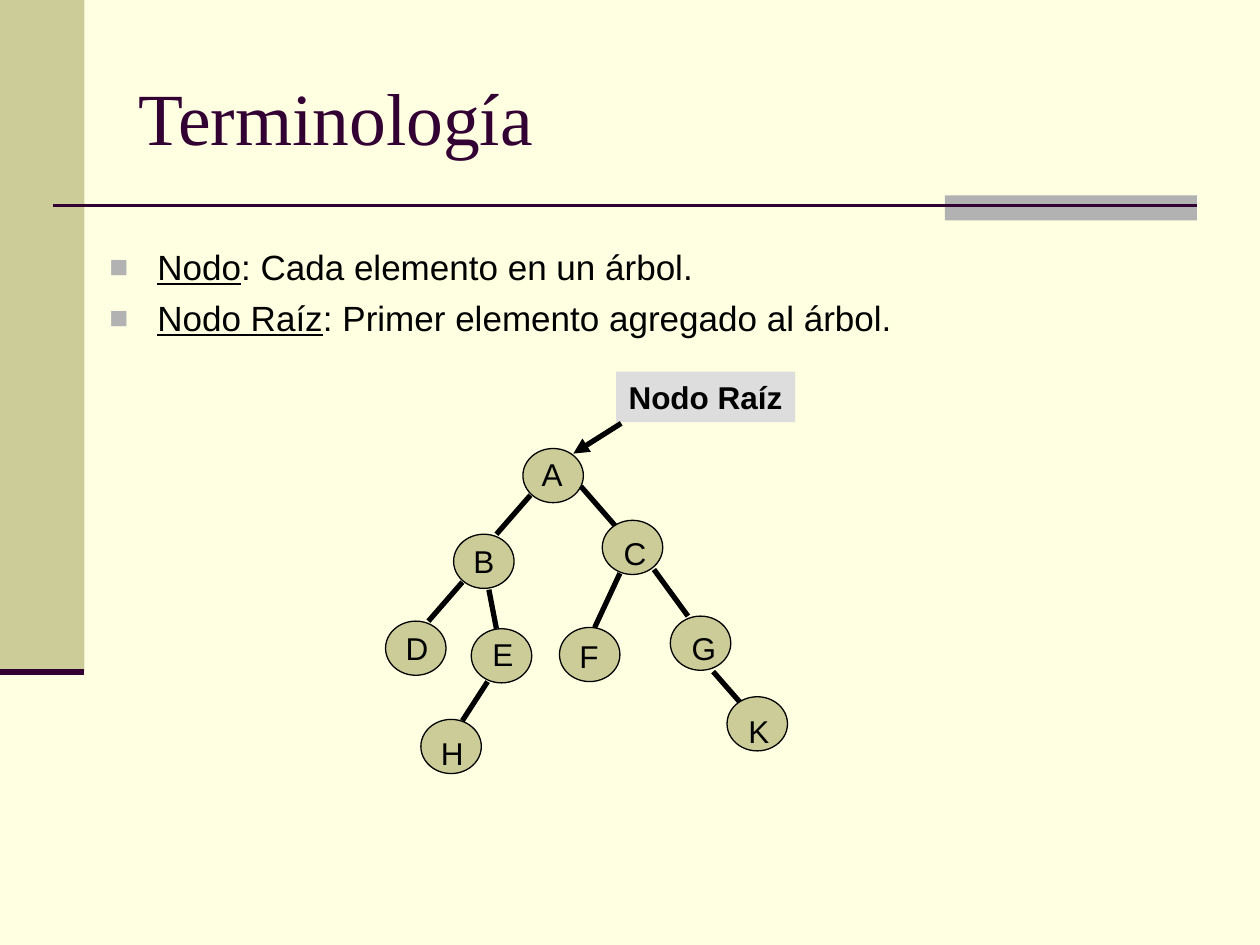
from lxml import etree
from pptx import Presentation
from pptx.dml.color import RGBColor
from pptx.enum.shapes import MSO_CONNECTOR, MSO_SHAPE
from pptx.enum.text import MSO_ANCHOR, PP_ALIGN
from pptx.oxml.ns import qn
from pptx.util import Inches, Pt

RECT, OVAL = MSO_SHAPE.RECTANGLE, MSO_SHAPE.OVAL
STRAIGHT = MSO_CONNECTOR.STRAIGHT
MIDDLE, TOP = MSO_ANCHOR.MIDDLE, MSO_ANCHOR.TOP
LEFT, CENTER = PP_ALIGN.LEFT, PP_ALIGN.CENTER

COLORS = {
    "background": "FFFFE1", "olive": "CCCC99", "gray": "B2B2B2",
    "plum": "330033", "label": "DDDDDD", "black": "000000",
}
NODE_W, NODE_H = 0.48, 0.43

# Node: left and top of the circle, left and top of its letter
# (None: the letter is centred inside the circle)
NODES = {
    "A": ((4.15, 3.56), (4.2, 3.56)),
    "B": ((3.6, 4.24), None),
    "C": ((4.78, 4.13), (4.85, 4.19)),
    "D": ((3.06, 4.93), (3.12, 4.94)),
    "E": ((3.74, 4.99), (3.81, 4.99)),
    "H": ((3.34, 5.71), (3.4, 5.78)),
    "F": ((4.44, 4.98), (4.5, 5.01)),
    "G": ((5.32, 4.89), (5.39, 4.94)),
    "K": ((5.77, 5.53), (5.84, 5.6)),
}
EDGES = [
    ((4.21, 3.93), (3.94, 4.24)),  # A-B
    ((3.67, 4.62), (3.4, 4.93)),   # B-D
    ((4.61, 3.86), (4.88, 4.17)),  # A-C
    ((5.19, 4.52), (5.46, 4.89)),  # C-G
    ((3.88, 4.68), (3.94, 4.99)),  # B-E
    ((4.92, 4.55), (4.72, 4.98)),  # C-F
    ((3.87, 5.41), (3.67, 5.72)),  # E-H
    ((5.66, 5.33), (5.87, 5.57)),  # G-K
]
DEFINITIONS = [
    ("Nodo", ": Cada elemento en un árbol."),
    ("Nodo Raíz", ": Primer elemento agregado al árbol."),
]


def rgb(name):
    return RGBColor.from_string(COLORS[name])


def add_box(slide, kind, x, y, w, h, fill, line=None):
    sp = slide.shapes.add_shape(kind, Inches(x), Inches(y), Inches(w), Inches(h))
    sp.shadow.inherit = False
    sp.fill.solid()
    sp.fill.fore_color.rgb = rgb(fill)
    if line:
        sp.line.color.rgb = rgb(line)
        sp.line.width = Pt(0.75)
    else:
        sp.line.fill.background()
    return sp


def add_line(slide, start, end, color, width, arrow=False):
    points = [Inches(v) for v in (*start, *end)]
    cxn = slide.shapes.add_connector(STRAIGHT, *points)
    cxn.line.color.rgb = rgb(color)
    cxn.line.width = Pt(width)
    if arrow:
        etree.SubElement(cxn.line._get_or_add_ln(), qn("a:tailEnd"), type="triangle")
    etree.SubElement(cxn._element.spPr, qn("a:effectLst"))


def add_run(p, text, size, font="Arial", color="black", bold=False, underline=False):
    r = p.add_run()
    r.text = text
    r.font.size = Pt(size)
    r.font.name = font
    r.font.color.rgb = rgb(color)
    r.font.bold = bold
    r.font.underline = underline


def set_frame(sp, anchor=TOP, align=LEFT, wrap=True):
    tf = sp.text_frame
    tf.word_wrap = wrap
    tf.vertical_anchor = anchor
    tf.paragraphs[0].alignment = align
    return tf


def add_text_box(slide, x, y, w, h, anchor=TOP):
    sp = slide.shapes.add_textbox(Inches(x), Inches(y), Inches(w), Inches(h))
    return set_frame(sp, anchor)


def set_bullet(p):
    p.space_before = Pt(5)
    pPr = p._p.get_or_add_pPr()
    pPr.set("marL", str(Inches(0.38)))
    pPr.set("indent", str(-Inches(0.38)))
    color = etree.SubElement(pPr, qn("a:buClr"))
    etree.SubElement(color, qn("a:srgbClr"), val=COLORS["gray"])
    etree.SubElement(pPr, qn("a:buSzPct"), val="90000")
    etree.SubElement(pPr, qn("a:buFont"), typeface="Arial")
    etree.SubElement(pPr, qn("a:buChar"), char="■")


def add_decoration(slide):
    add_box(slide, RECT, 0, 0, 0.67, 5.33, "olive")
    add_box(slide, RECT, 7.5, 1.55, 2, 0.2, "gray")
    add_line(slide, (0.42, 1.63), (9.5, 1.63), "plum", 1.5)
    add_line(slide, (0, 5.33), (0.67, 5.33), "plum", 3.5)


def add_definitions(slide):
    tf = add_text_box(slide, 0.77, 1.9, 8.38, 1.36)
    for i, (term, meaning) in enumerate(DEFINITIONS):
        p = tf.add_paragraph() if i else tf.paragraphs[0]
        set_bullet(p)
        add_run(p, term, 20, underline=True)
        add_run(p, meaning, 20)


def add_tree(slide):
    for letter, (corner, letter_at) in NODES.items():
        sp = add_box(slide, OVAL, *corner, NODE_W, NODE_H, "olive", "black")
        if letter_at is None:
            tf = set_frame(sp, MIDDLE, CENTER, wrap=False)
            add_run(tf.paragraphs[0], letter, 18)
    for start, end in EDGES:
        add_line(slide, start, end, "black", 3)
    for letter, (_, letter_at) in NODES.items():
        if letter_at:
            tf = add_text_box(slide, *letter_at, 0.42, 0.4)
            add_run(tf.paragraphs[0], letter, 18)


def add_root_label(slide):
    sp = add_box(slide, RECT, 4.89, 2.95, 1.42, 0.4, "label")
    tf = set_frame(sp, wrap=False)
    add_run(tf.paragraphs[0], "Nodo Raíz", 18, bold=True)
    add_line(slide, (4.93, 3.36), (4.55, 3.6), "black", 3, arrow=True)


def main():
    prs = Presentation()
    prs.slide_width, prs.slide_height = Inches(10), Inches(7.5)
    slide = prs.slides.add_slide(prs.slide_layouts[6])
    slide.background.fill.solid()
    slide.background.fill.fore_color.rgb = rgb("background")

    # Side band and rules
    add_decoration(slide)

    # Title and definitions
    title = add_text_box(slide, 1, 0.3, 8.5, 1.25, MIDDLE)
    add_run(title.paragraphs[0], "Terminología", 42, "Times New Roman", "plum")
    add_definitions(slide)

    # Tree diagram
    add_tree(slide)
    add_root_label(slide)

    prs.save("out.pptx")


if __name__ == "__main__":
    main()
